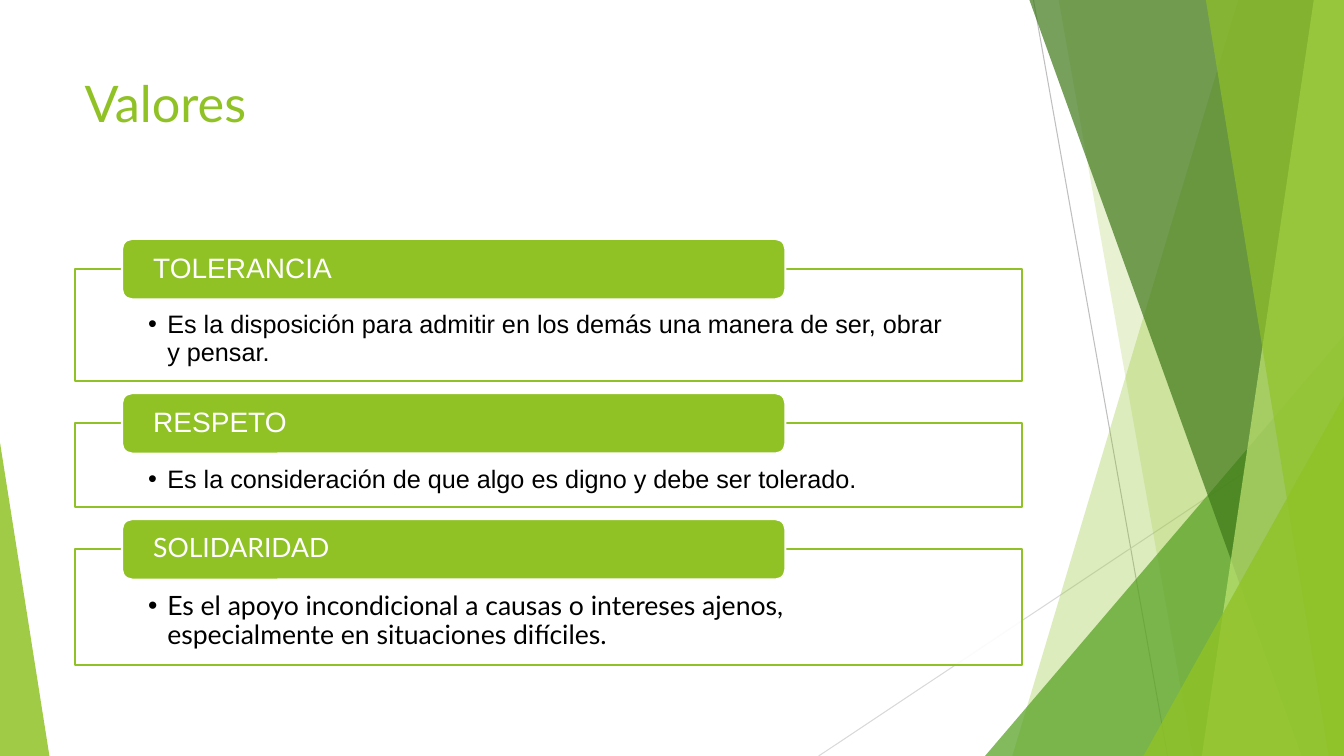
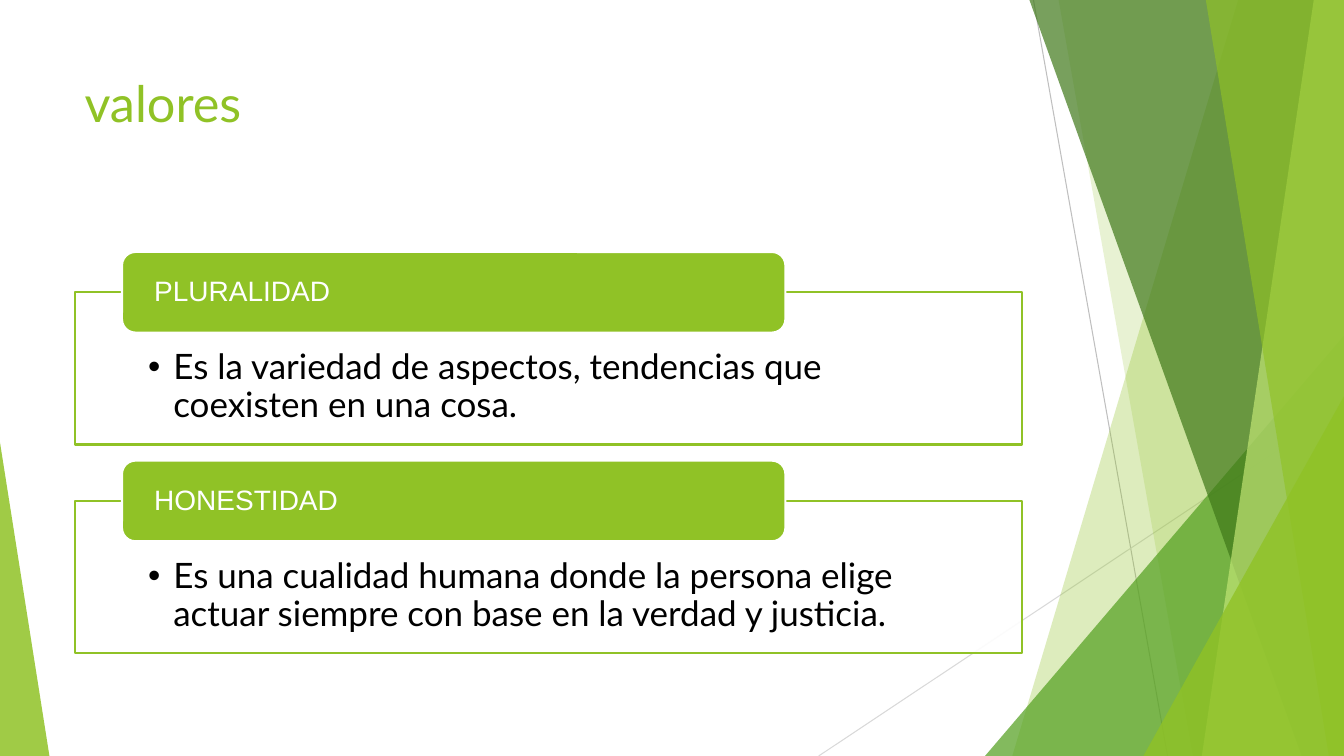
import pptx
import pptx.dml.color
import pptx.enum.shapes
import pptx.enum.text
import pptx.oxml.ns
import pptx.util
from lxml import etree

Inches = pptx.util.Inches
Shape = pptx.enum.shapes.MSO_SHAPE
Anchor = pptx.enum.text.MSO_ANCHOR
qn = pptx.oxml.ns.qn

WIDTH, HEIGHT = 13.33, 7.5
GREEN, LEAF, FOREST, LIME = "90C226", "54A021", "3F7819", "C0E474"
WHITE, BLACK = "FFFFFF", "000000"
TITLE_BOX = (0.74, 0.67, 9.4, 1.44)


def colour(hex_text):
    return pptx.dml.color.RGBColor.from_string(hex_text)


def paint(shape, fill, opacity=100, line=None):
    shape.shadow.inherit = False
    shape.fill.solid()
    shape.fill.fore_color.rgb = colour(fill)
    if opacity < 100:
        tint = shape.fill._xPr.find(qn("a:solidFill"))[0]
        etree.SubElement(tint, qn("a:alpha"), val=str(opacity * 1000))
    if line:
        shape.line.color.rgb = colour(line)
        shape.line.width = pptx.util.Pt(1.5)
    else:
        shape.line.fill.background()


def write(shape, text, size, font, ink, anchor, insets=(0.1, 0.05, 0.1, 0.05),
          spacing=1.0, hang=0):
    """Fill a shape with one paragraph; hang is the bullet indent in inches."""
    frame = shape.text_frame
    frame.word_wrap = True
    frame.vertical_anchor = anchor
    for side, inset in zip(("left", "top", "right", "bottom"), insets):
        setattr(frame, f"margin_{side}", Inches(inset))
    para = frame.paragraphs[0]
    para.alignment = pptx.enum.text.PP_ALIGN.LEFT
    para.line_spacing = spacing
    if hang:
        properties = para._p.get_or_add_pPr()
        properties.set("marL", str(Inches(hang)))
        properties.set("indent", str(-Inches(hang)))
        etree.SubElement(properties, qn("a:buFont"), typeface="Arial")
        etree.SubElement(properties, qn("a:buChar"), char="•")
    span = para.add_run()
    span.text = text
    span.font.color.rgb = colour(ink)
    for name, value in {"size": pptx.util.Pt(size), "name": font}.items():
        setattr(span.font, name, value)


def draw_strip(slide, top_x, bottom_x):
    """Full-height facet from a slanted left edge to the right slide edge."""
    corners = [(top_x, 0), (WIDTH, 0), (WIDTH, HEIGHT), (bottom_x, HEIGHT)]
    points = [(Inches(x), Inches(y)) for x, y in corners]
    builder = slide.shapes.build_freeform(*points[0])
    builder.add_line_segments(points[1:], close=True)
    return builder.convert_to_shape()


def draw_corner(slide, left, top, width, lean):
    """Triangle standing on the slide bottom; lean 0 or 1 places its apex."""
    shape = slide.shapes.add_shape(
        Shape.ISOSCELES_TRIANGLE, Inches(left), Inches(top),
        Inches(width), Inches(HEIGHT - top))
    shape.adjustments[0] = lean
    return shape


RAYS = [((10.25, 0), (11.58, HEIGHT), "BFBFBF"),
        ((WIDTH, 4.03), (8.12, HEIGHT), "D9D9D9")]
FACETS = [
    (draw_strip, (12.28, 10.04), GREEN, 30),
    (draw_strip, (10.5, 11.83), GREEN, 20),
    (draw_corner, (9.77, 3.33, 3.56, 1), LEAF, 72),
    (draw_strip, (10.21, 12.91), FOREST, 70),
    (draw_strip, (13.03, 11.92), LIME, 70),
    (draw_strip, (11.96, 13.18), GREEN, 65),
    (draw_corner, (11.34, 3.93, 1.99, 1), GREEN, 80),
    (draw_corner, (0, 4.39, 0.49, 0), GREEN, 85),
]


def draw_backdrop(slide):
    for start, end, tone in RAYS:
        ray = slide.shapes.add_connector(
            pptx.enum.shapes.MSO_CONNECTOR.STRAIGHT,
            *(Inches(value) for value in start + end))
        ray.line.color.rgb = colour(tone)
        ray.line.width = pptx.util.Pt(0.75)
        etree.SubElement(ray._element.spPr, qn("a:effectLst"))
    for draw, geometry, tone, opacity in FACETS:
        paint(draw(slide, *geometry), tone, opacity)


def draw_title(slide, text):
    box = slide.shapes.add_textbox(*map(Inches, TITLE_BOX))
    write(box, text, 36, "Lato", GREEN, Anchor.TOP)


def draw_value(slide, left, top, width, height, tab_height, hang, value):
    """Framed definition whose heading tab straddles the frame's top edge."""
    heading, heading_style, definition, definition_style = value
    frame = slide.shapes.add_shape(
        Shape.RECTANGLE, Inches(left), Inches(top), Inches(width), Inches(height))
    paint(frame, WHITE, 90, GREEN)
    write(frame, definition, *definition_style, BLACK, Anchor.TOP,
          (0.73, 0.71 * tab_height, 0.73, 0.24 * tab_height), 0.9, hang)
    tab = slide.shapes.add_shape(
        Shape.ROUNDED_RECTANGLE, Inches(left + 0.05 * width),
        Inches(top - tab_height / 2), Inches(0.7 * width), Inches(tab_height))
    paint(tab, GREEN, line=WHITE)
    write(tab, heading, *heading_style, WHITE, Anchor.MIDDLE,
          (0.28, 0, 0.28, 0), 0.9)


def build_values_slide(deck, title, top, tab_height, hang, values):
    slide = deck.slides.add_slide(deck.slide_layouts[6])
    draw_backdrop(slide)
    draw_title(slide, title)
    left, _, width, _ = TITLE_BOX
    for height, *value in values:
        top += tab_height / 2
        draw_value(slide, left, top, width, height, tab_height, hang, value)
        top += height + 0.2 * tab_height


def main():
    deck = pptx.Presentation()
    deck.slide_width, deck.slide_height = Inches(WIDTH), Inches(HEIGHT)
    heading, small, small_lato, large = (
        (20, "Arial"), (18, "Arial"), (19, "Lato"), (25, "Lato"))
    build_values_slide(deck, "Valores", 2.37, 0.6, 0.19, [
        (1.11, "TOLERANCIA", heading,
         "Es la disposición para admitir en los demás una manera de ser, "
         "obrar y pensar.", small),
        (0.83, "RESPETO", heading,
         "Es la consideración de que algo es digno y debe ser tolerado.", small),
        (1.15, "SOLIDARIDAD", small_lato,
         "Es el apoyo incondicional a causas o intereses ajenos, "
         "especialmente en situaciones difíciles.", small_lato),
    ])
    build_values_slide(deck, "valores", 2.5, 0.8, 0.25, [
        (1.51, "PLURALIDAD", heading,
         "Es la variedad de aspectos, tendencias que coexisten en una cosa.",
         large),
        (1.51, "HONESTIDAD", heading,
         "Es una cualidad humana donde la persona elige actuar siempre "
         "con base en la verdad y justicia.", large),
    ])
    deck.save("out.pptx")


if __name__ == "__main__":
    main()
